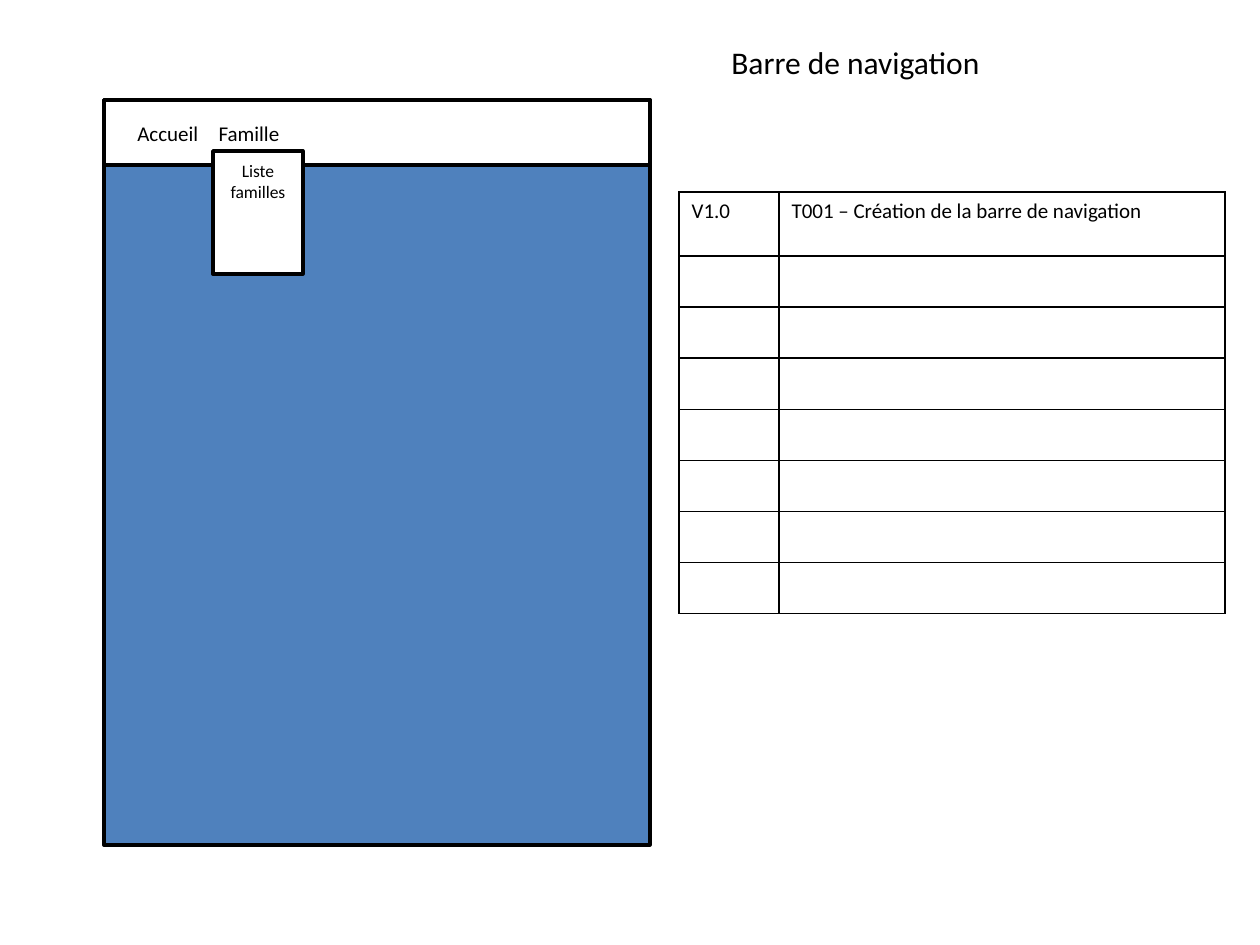
from lxml import etree
from pptx import Presentation
from pptx.dml.color import RGBColor
from pptx.enum.shapes import MSO_SHAPE
from pptx.enum.text import MSO_AUTO_SIZE, PP_ALIGN
from pptx.oxml.ns import qn
from pptx.util import Emu, Pt

PX = 914400 // 126
RECT = MSO_SHAPE.RECTANGLE
LEFT, CENTER = PP_ALIGN.LEFT, PP_ALIGN.CENTER
GROW = MSO_AUTO_SIZE.SHAPE_TO_FIT_TEXT
FONT = "Calibri"
BLACK = RGBColor(0x00, 0x00, 0x00)
WHITE = RGBColor(0xFF, 0xFF, 0xFF)
BLUE = RGBColor(0x4F, 0x81, 0xBD)

TASKS = [("V1.0", "T001 – Création de la barre de navigation")]
ROW_HEIGHTS = [64] + [51] * 7
COL_WIDTHS = [100, 446]


def px(*values):
    return [Emu(v * PX) for v in values]


def write(tf, lines, size, align=LEFT):
    for i, line in enumerate(lines):
        p = tf.add_paragraph() if i else tf.paragraphs[0]
        p.alignment = align
        r = p.add_run()
        r.text = line
        for name, value in {"name": FONT, "size": Pt(size)}.items():
            setattr(r.font, name, value)
        r.font.color.rgb = BLACK


def add_box(shapes, box, fill):
    sp = shapes.add_shape(RECT, *px(*box))
    sp.shadow.inherit = False
    sp.fill.solid()
    sp.fill.fore_color.rgb = fill
    sp.line.color.rgb = BLACK
    sp.line.width = Pt(2)


def add_label(shapes, box, lines, size, align=CENTER):
    tf = shapes.add_textbox(*px(*box)).text_frame
    for name, value in {"word_wrap": True, "auto_size": GROW}.items():
        setattr(tf, name, value)
    write(tf, lines, size, align)


def add_borders(cell):
    tc_pr = cell._tc.get_or_add_tcPr()
    for i, side in enumerate(("a:lnL", "a:lnR", "a:lnT", "a:lnB")):
        ln = etree.Element(qn(side), w=str(Pt(1)))
        fill = etree.SubElement(ln, qn("a:solidFill"))
        etree.SubElement(fill, qn("a:srgbClr"), val=str(BLACK))
        tc_pr.insert(i, ln)


def add_task_table(shapes, left, top):
    box = px(left, top, sum(COL_WIDTHS), sum(ROW_HEIGHTS))
    table = shapes.add_table(len(ROW_HEIGHTS), len(COL_WIDTHS), *box).table
    table.first_row = table.horz_banding = False
    for col, width in zip(table.columns, px(*COL_WIDTHS)):
        col.width = width
    for row, height in zip(table.rows, px(*ROW_HEIGHTS)):
        row.height = height
    for cell in table.iter_cells():
        cell.fill.background()
        add_borders(cell)
    for i, task in enumerate(TASKS):
        for j, text in enumerate(task):
            write(table.cell(i, j).text_frame, [text], 12)


def main():
    """Build the navigation bar slide with its mock-up and task table."""
    prs = Presentation()
    prs.slide_width, prs.slide_height = px(1260, 945)
    s = prs.slides.add_slide(prs.slide_layouts[6])

    add_task_table(s.shapes, 679, 192)
    page = s.shapes.add_group_shape().shapes
    add_box(page, (104, 100, 546, 745), BLUE)
    add_box(page, (104, 100, 546, 65), WHITE)
    add_label(page, (104, 114, 128, 38), ["Accueil"], 12)
    add_label(s.shapes, (719, 37, 387, 51), ["Barre de navigation"], 18, LEFT)
    add_label(s.shapes, (185, 114, 128, 38), ["Famille"], 12)
    add_box(s.shapes, (213, 151, 90, 123), WHITE)
    add_label(s.shapes, (194, 154, 128, 55), ["Liste", "familles"], 10)
    prs.save("out.pptx")


main()
